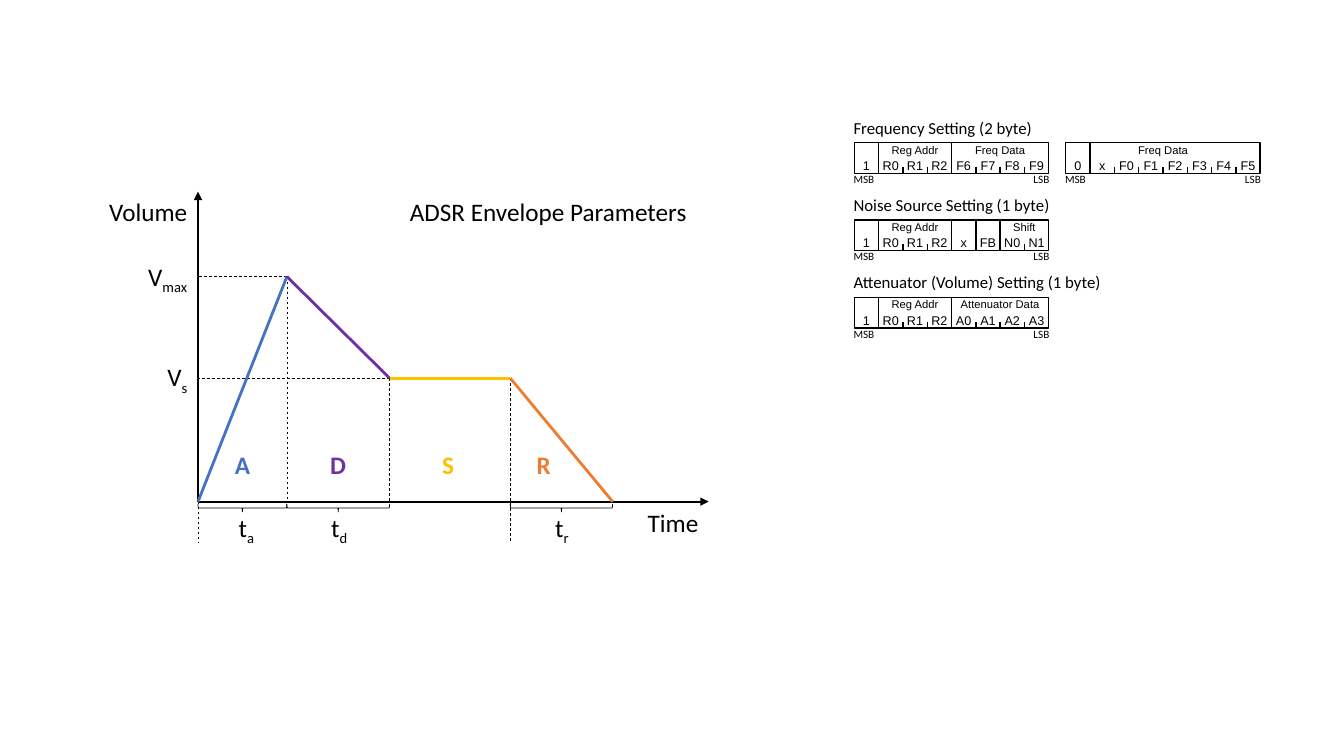
"""Builds a slide with an ADSR envelope diagram and sound register layouts."""
from lxml.etree import SubElement
from pptx import Presentation
from pptx.dml.color import RGBColor
from pptx.enum.dml import MSO_LINE
from pptx.enum.shapes import MSO_CONNECTOR as CONN, MSO_SHAPE as SHAPE
from pptx.enum.text import MSO_ANCHOR as ANCHOR, MSO_AUTO_SIZE as AUTO, PP_ALIGN as ALIGN
from pptx.oxml.ns import qn
from pptx.util import Cm, Pt

BLACK, WHITE = "000000", "FFFFFF"
BLUE, PURPLE, GOLD, ORANGE = "4472C4", "7030A0", "FFC000", "ED7D31"


def rgb(color):
    return RGBColor.from_string(color)


class Sketch:
    """Draws styled elements on the current slide, in centimetres."""
    font = "Calibri"
    label_size = 18
    reg_w, reg_h = 4.9, 0.78
    inset = 0.27

    def __init__(self, s):
        self.s = s
        self.shapes = s.shapes

    def text(self, x, y, w, h, text, size=label_size, align=ALIGN.LEFT, color=BLACK,
             font=font, bold=False, sub="", wrap=False, anchor=ANCHOR.TOP):
        tf = self.shapes.add_textbox(Cm(x), Cm(y), Cm(w), Cm(h)).text_frame
        tf.word_wrap = wrap
        tf.auto_size = AUTO.SHAPE_TO_FIT_TEXT
        tf.vertical_anchor = anchor
        p = tf.paragraphs[0]
        p.alignment = align
        p.font.name, p.font.size, p.font.bold = font, Pt(size), bold
        p.font.color.rgb = rgb(color)
        p.add_run().text = text
        if sub:
            r = p.add_run()
            r.text = sub
            r._r.get_or_add_rPr().set("baseline", "-25000")

    def centered(self, cx, y, w, h, text, **style):
        self.text(cx - w / 2, y, w, h, text, align=ALIGN.CENTER, **style)

    def line(self, x1, y1, x2, y2, color=BLACK, width=1, dashed=False, arrow=False):
        c = self.shapes.add_connector(CONN.STRAIGHT, Cm(x1), Cm(y1), Cm(x2), Cm(y2))
        c.line.color.rgb = rgb(color)
        c.line.width = Pt(width)
        if dashed:
            c.line.dash_style = MSO_LINE.DASH
        if arrow:
            SubElement(c.line._get_or_add_ln(), qn("a:headEnd"), type="triangle")
        SubElement(c._element.spPr, qn("a:effectLst"))

    def shape(self, kind, x, y, w, h, width, fill=None):
        sp = self.shapes.add_shape(kind, Cm(x), Cm(y), Cm(w), Cm(h))
        sp.shadow.inherit = False
        if fill:
            sp.fill.solid()
            sp.fill.fore_color.rgb = rgb(fill)
        else:
            sp.fill.background()
        sp.line.color.rgb = rgb(BLACK)
        sp.line.width = Pt(width)
        return sp

    def brace(self, x1, x2, y, depth=0.2):
        length = x2 - x1
        sp = self.shape(SHAPE.LEFT_BRACE, (x1 + x2 - depth) / 2, y - length / 2,
                        depth, length, 0.5)
        sp.rotation = 270

    def register(self, x, y, bits, walls, captions, title="", title_w=0):
        self.shapes = self.s.shapes.add_group_shape().shapes
        cell, bottom = self.reg_w / 8, y + self.reg_h
        self.shape(SHAPE.RECTANGLE, x, y, self.reg_w, self.reg_h, 1, WHITE)
        for i in range(1, 8):
            top = y if i in walls else bottom - 0.16
            self.line(x + i * cell, top, x + i * cell, bottom)
        for i, bit in enumerate(bits.split()):
            self.centered(x + (i + 0.5) * cell, y + 0.26, 0.47 + 0.22 * len(bit), 0.64,
                          bit, size=9, font="Arial", anchor=ANCHOR.MIDDLE)
        for center, w, caption in captions:
            self.centered(x + center * cell, y - 0.11, w, 0.61, caption, size=8, font="Arial")
        if title:
            self.text(x - self.inset, y - 0.76, title_w, 0.76, title, size=12)
        self.text(x - self.inset, y + 0.63, 1.04, 0.61, "MSB", size=8)
        self.text(x + self.reg_w + self.inset - 0.91, y + 0.63, 0.91, 0.61, "LSB",
                  size=8, align=ALIGN.RIGHT)
        self.shapes = self.s.shapes


def draw_envelope(k):
    start, peak, decay, release, end = 4.99, 7.23, 9.82, 12.86, 15.44
    v_max, v_s, base, tail = 6.97, 9.53, 12.64, 13.67
    for x1, y1, x2, y2 in ((peak, v_max, peak, base), (decay, v_s, decay, base),
                           (release, v_s, release, tail), (decay, v_s, start, v_s),
                           (peak, v_max, start, v_max), (start, base, start, tail)):
        k.line(x1, y1, x2, y2, width=0.5, dashed=True)
    k.line(17.86, base, start, base, width=1.5, arrow=True)
    k.line(start, 4.83, start, base, width=1.5, arrow=True)

    stages = (("A", 6.11, BLUE, start, base, peak, v_max),
              ("D", 8.52, PURPLE, peak, v_max, decay, v_s),
              ("S", 11.29, GOLD, decay, v_s, release, v_s),
              ("R", 13.7, ORANGE, release, v_s, end, base))
    for letter, cx, color, *ends in stages:
        k.line(*ends, color=color, width=2)
        k.centered(cx, 11.2, 0.94, 1.02, letter, color=color, bold=True, wrap=True)

    for sub, cx, x1, x2 in (("a", 6.21, start, peak), ("d", 8.55, peak, decay),
                            ("r", 14.16, release, end)):
        k.brace(x1, x2, 12.8)
        k.centered(cx, 12.78, 1.45, 1.02, "t", sub=sub, wrap=True)

    for name, sub, y, w in (("Volume", "", 4.83, 2.51), ("V", "max", 6.45, 1.65),
                            ("V", "s", 8.99, 1.14)):
        right = 4.97
        k.text(right - w, y, w, 1.02, name, sub=sub, align=ALIGN.RIGHT, wrap=True)
    k.text(16.05, 12.65, 1.8, 1.02, "Time", align=ALIGN.RIGHT)
    k.text(10.08, 4.83, 7.57, 1.02, "ADSR Envelope Parameters")


def draw_registers(k):
    left, right, top, step = 21.53, 26.86, 3.59, 1.95
    reg_addr = (2.5, 1.73, "Reg Addr")
    k.register(left, top, "1 R0 R1 R2 F6 F7 F8 F9", (1, 4),
               (reg_addr, (6, 1.78, "Freq Data")), "Frequency Setting (2 byte)", 5.05)
    k.register(right, top, "0 x F0 F1 F2 F3 F4 F5", (1,), ((4, 1.78, "Freq Data"),))
    k.register(left, top + step, "1 R0 R1 R2 x FB N0 N1", (1, 4, 5, 6),
               (reg_addr, (7, 1.09, "Shift")), "Noise Source Setting (1 byte)", 5.51)
    k.register(left, top + 2 * step, "1 R0 R1 R2 A0 A1 A2 A3", (1, 4),
               (reg_addr, (6, 2.51, "Attenuator Data")),
               "Attenuator (Volume) Setting (1 byte)", 6.83)


def main():
    prs = Presentation()
    prs.slide_width, prs.slide_height = Cm(33.87), Cm(19.05)
    k = Sketch(prs.slides.add_slide(prs.slide_layouts[6]))
    draw_envelope(k)
    draw_registers(k)
    prs.save("out.pptx")


if __name__ == "__main__":
    main()
